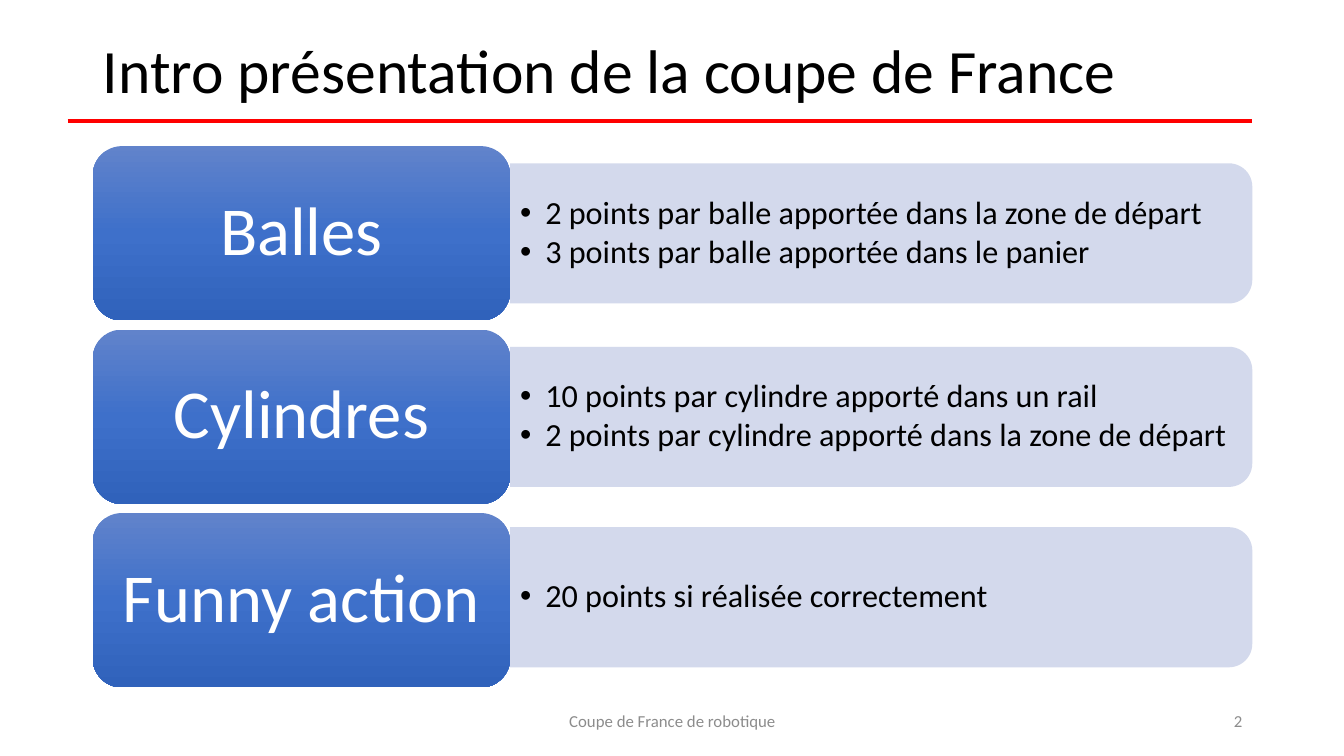
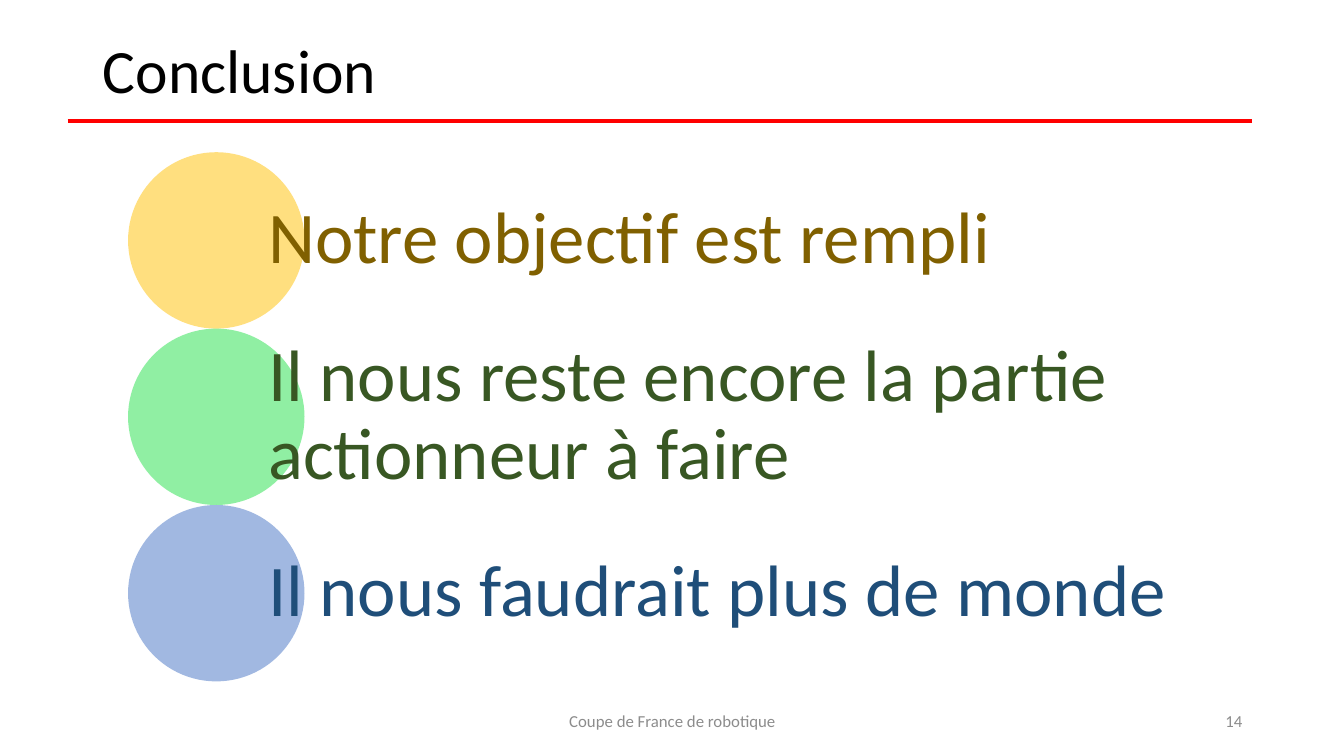
from copy import deepcopy

from lxml import etree
from pptx import Presentation
from pptx import util as u
from pptx.dml.color import RGBColor
from pptx.enum import shapes, text
from pptx.oxml.ns import qn

FONT = "Calibri"
FOOTER = "Coupe de France de robotique"
COLORS = {
    "rule": "FF0000",
    "black": "000000",
    "white": "FFFFFF",
    "footer": "8C8C8C",
    "panel": "CFD5EA",
    "label_top": "6183CB",
    "label_middle": "3E70CA",
    "label_bottom": "3062BB",
    "yellow": "FFC000",
    "green": "23E148",
    "blue": "4472C4",
    "dark_yellow": "806000",
    "dark_green": "385723",
    "dark_blue": "1F4E79",
}
SCORING = [
    ("Balles", 0.17, ["2 points par balle apportée dans la zone de départ",
                      "3 points par balle apportée dans le panier"]),
    ("Cylindres", 0.17, ["10 points par cylindre apporté dans un rail",
                         "2 points par cylindre apporté dans la zone de départ"]),
    ("Funny action", 0.14, ["20 points si réalisée correctement"]),
]
CONCLUSIONS = [
    ("Notre objectif est rempli", "yellow", "dark_yellow"),
    ("Il nous reste encore la partie actionneur à faire", "green", "dark_green"),
    ("Il nous faudrait plus de monde", "blue", "dark_blue"),
]


def color(name):
    """Return the named colour."""
    return RGBColor.from_string(COLORS[name])


def inches(*lengths):
    """Convert several lengths to inches."""
    return [u.Inches(length) for length in lengths]


def write(shape, lines, size, color_name, align=text.PP_ALIGN.LEFT,
          insets=(0.1, 0.05), spacing=0.9, after=0):
    """Fill a shape with one paragraph per line and return the paragraphs."""
    frame = shape.text_frame
    frame.word_wrap = True
    frame.auto_size = text.MSO_AUTO_SIZE.NONE
    frame.vertical_anchor = text.MSO_ANCHOR.MIDDLE
    frame.margin_left = frame.margin_right = u.Inches(insets[0])
    frame.margin_top = frame.margin_bottom = u.Inches(insets[1])
    for index, line in enumerate(lines):
        paragraph = frame.add_paragraph() if index else frame.paragraphs[0]
        paragraph.alignment = align
        paragraph.line_spacing = spacing
        paragraph.space_before = u.Pt(0)
        paragraph.space_after = u.Pt(after)
        run = paragraph.add_run()
        run.text = line
        run.font.name = FONT
        run.font.size = u.Pt(size)
        run.font.color.rgb = color(color_name)
    return frame.paragraphs


def add_text(slide, box, lines, size, color_name, **options):
    """Add a text box and return its paragraphs."""
    return write(slide.shapes.add_textbox(*inches(*box)), lines, size, color_name, **options)


def add_bullet(paragraph):
    """Give a paragraph a hanging round bullet."""
    properties = paragraph._p.get_or_add_pPr()
    properties.set("marL", str(u.Inches(0.25)))
    properties.set("indent", str(-u.Inches(0.25)))
    etree.SubElement(properties, qn("a:buFont")).set("typeface", "Arial")
    etree.SubElement(properties, qn("a:buChar")).set("char", "•")


def add_filled(slide, kind, box, color_name, opacity):
    """Add a borderless shape with a translucent fill."""
    shape = slide.shapes.add_shape(kind, *inches(*box))
    shape.shadow.inherit = False
    shape.fill.solid()
    shape.fill.fore_color.rgb = color(color_name)
    shape.line.fill.background()
    solid = shape.element.spPr.find(qn("a:solidFill"))
    etree.SubElement(solid[0], qn("a:alpha")).set("val", str(opacity * 1000))
    return shape


def fill_gradient(shape, names):
    """Fill a shape from top to bottom with evenly spaced colours."""
    shape.fill.gradient()
    shape.fill.gradient_angle = 270
    stops = shape.element.spPr.find(qn("a:gradFill")).find(qn("a:gsLst"))
    while len(stops) < len(names):
        stops.append(deepcopy(stops[0]))
    for index, (stop, name) in enumerate(zip(shape.fill.gradient_stops, names)):
        stop.position = index / (len(names) - 1)
        stop.color.rgb = color(name)


def add_base_slide(presentation, title, number):
    """Add a slide with its title, red rule, footer and number."""
    slide = presentation.slides.add_slide(presentation.slide_layouts[5])
    heading = slide.shapes.title
    heading.left, heading.top, heading.width, heading.height = inches(0.92, 0, 11.5, 1.45)
    write(heading, [title], 44, "black")
    rule = slide.shapes.add_connector(shapes.MSO_CONNECTOR.STRAIGHT,
                                      *inches(0.67, 1.2, 12.42, 1.2))
    rule.line.color.rgb = color("rule")
    rule.line.width = u.Pt(3.25)
    etree.SubElement(rule.element.spPr, qn("a:effectLst"))
    for box, content, align in (
        ((4.42, 6.95, 4.5, 0.4), FOOTER, text.PP_ALIGN.CENTER),
        ((9.42, 6.95, 3, 0.4), str(number), text.PP_ALIGN.RIGHT),
    ):
        add_text(slide, box, [content], 12, "footer", align=align, spacing=1.0)
    return slide


def add_scoring_row(slide, box, label, panel_offset, points):
    """Add a gradient label with a bulleted panel on its right."""
    left, top, width, height = box
    label_width, panel_height = 4.14, 1.39
    panel_left, panel_top = left + label_width, top + panel_offset
    panel_width = width - label_width
    center_x = panel_left + panel_width / 2
    center_y = panel_top + panel_height / 2
    panel = add_filled(slide, shapes.MSO_SHAPE.ROUND_2_SAME_RECTANGLE,
                       (center_x - panel_height / 2, center_y - panel_width / 2,
                        panel_height, panel_width), "panel", 90)
    panel.rotation = 90
    for paragraph in add_text(slide, (panel_left, panel_top, panel_width, panel_height),
                              points, 23, "black", after=3):
        add_bullet(paragraph)
    card = slide.shapes.add_shape(shapes.MSO_SHAPE.ROUNDED_RECTANGLE,
                                  *inches(left, top, label_width, height))
    card.shadow.inherit = False
    card.line.fill.background()
    fill_gradient(card, ["label_top", "label_middle", "label_bottom"])
    write(card, [label], 49, "white", align=text.PP_ALIGN.CENTER, insets=(0.2, 0.1))


def add_conclusion_row(slide, box, sentence, circle_color, text_color):
    """Add a translucent circle with a sentence starting over it."""
    left, top, width, height = box
    indent = 1.39
    add_filled(slide, shapes.MSO_SHAPE.OVAL, (left, top, height, height), circle_color, 50)
    add_text(slide, (left + indent, top, width - indent, height), [sentence], 52,
             text_color, insets=(0, 0.07))


def add_rows(slide, add_row, box, pitch, rows):
    """Stack rows at an even pitch from the first row's box."""
    left, top, width, height = box
    for index, row in enumerate(rows):
        add_row(slide, (left, top + index * pitch, width, height), *row)


def main():
    """Build and save the presentation."""
    presentation = Presentation()
    presentation.slide_width, presentation.slide_height = inches(13.33, 7.5)
    intro = add_base_slide(presentation, "Intro présentation de la coupe de France", 2)
    add_rows(intro, add_scoring_row, (0.92, 1.45, 11.5, 1.73), 1.82, SCORING)
    conclusion = add_base_slide(presentation, "Conclusion", 14)
    add_rows(conclusion, add_conclusion_row, (1.27, 1.51, 10.74, 1.75), 1.75, CONCLUSIONS)
    presentation.save("out.pptx")


if __name__ == "__main__":
    main()
